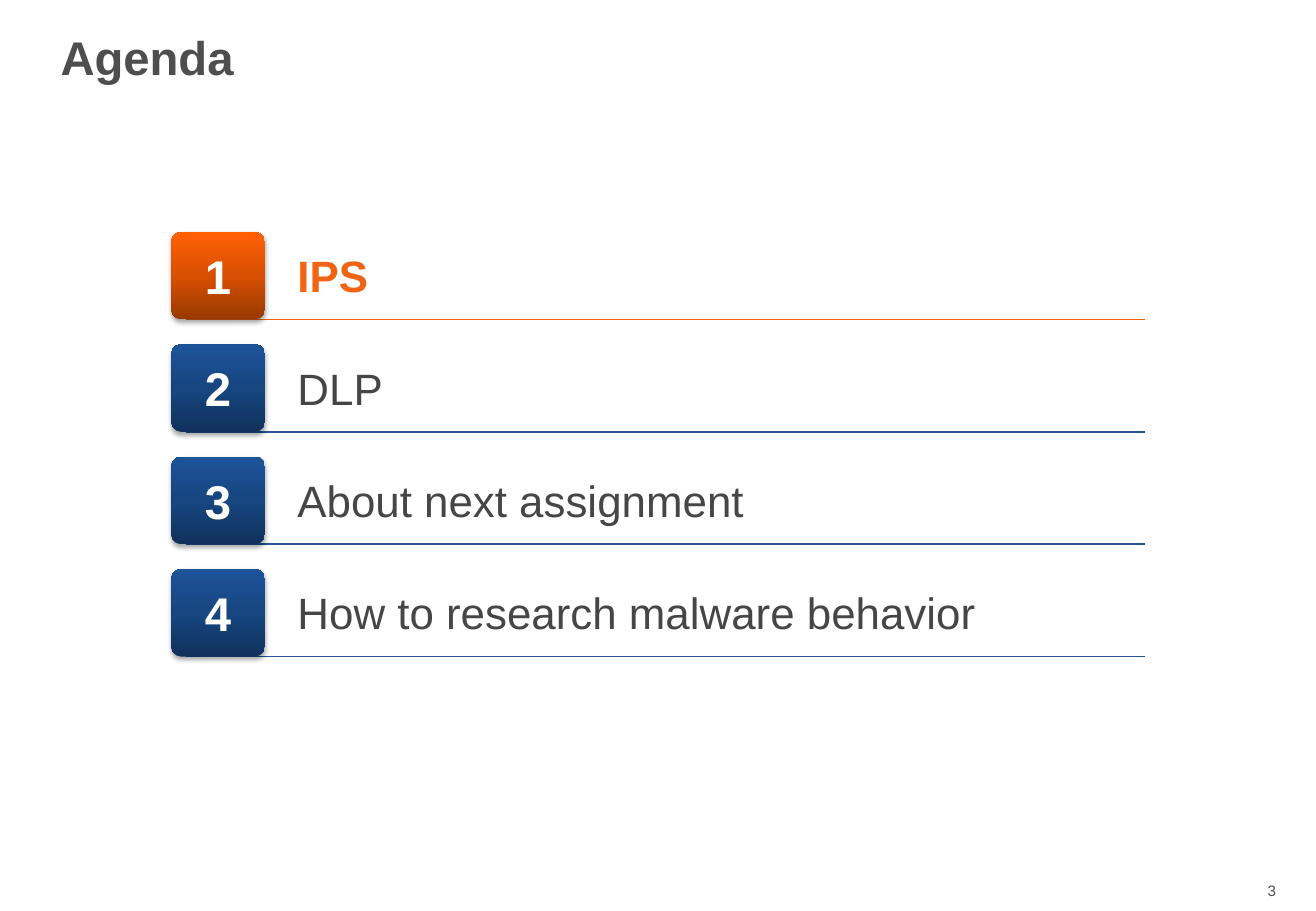
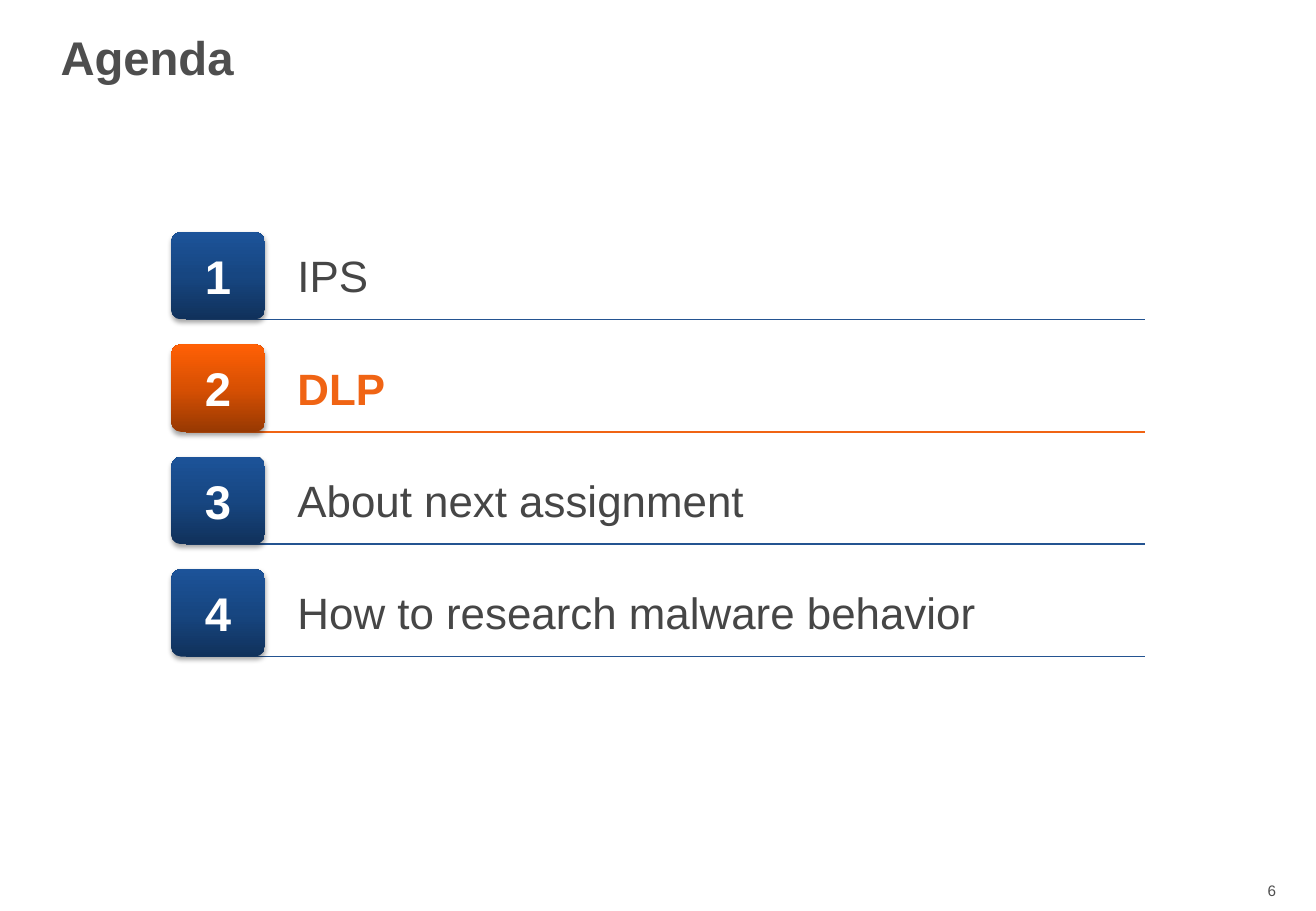
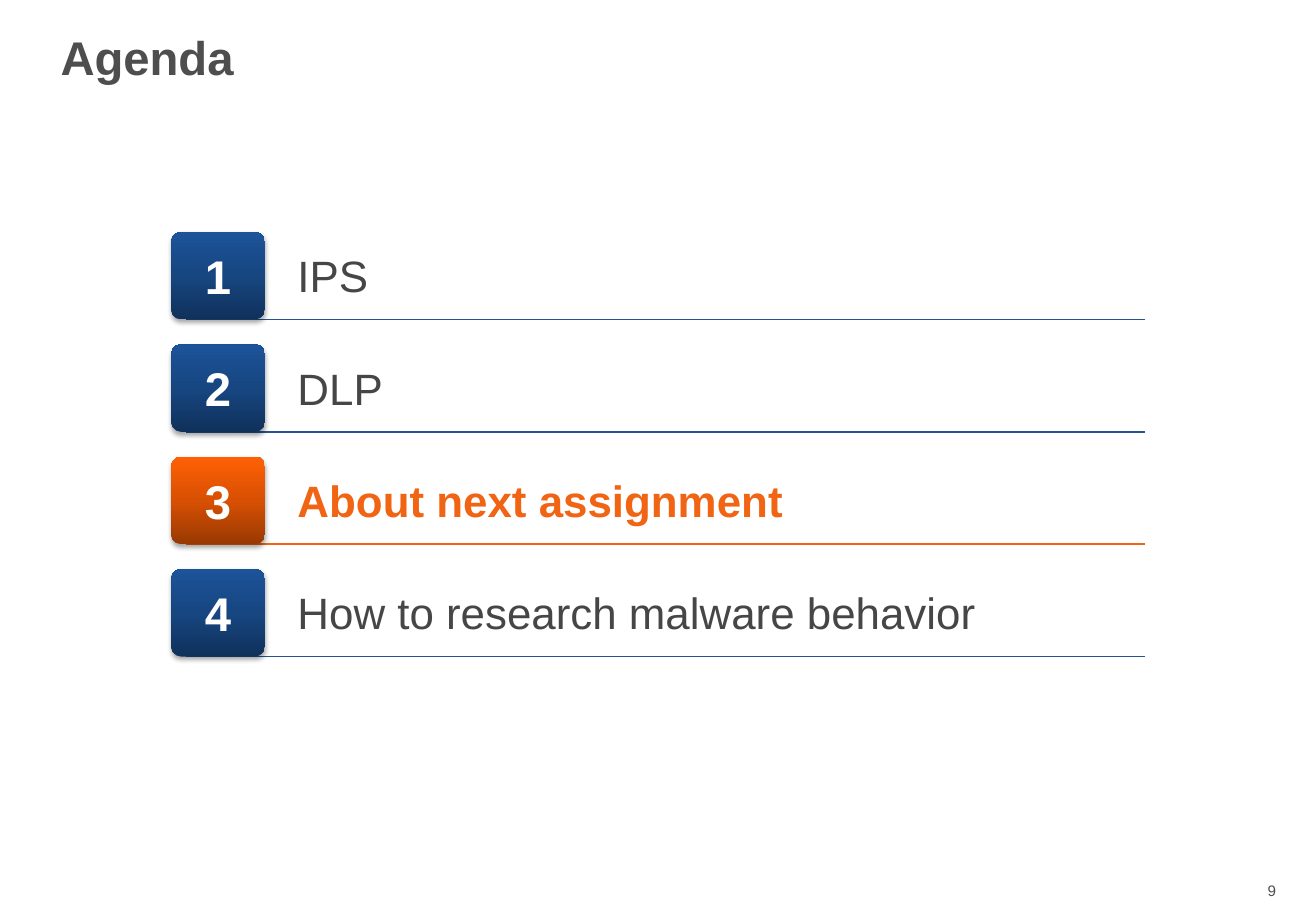
from copy import deepcopy
from pptx import Presentation
from pptx.dml.color import RGBColor
from pptx.enum.shapes import MSO_CONNECTOR, MSO_SHAPE
from pptx.enum.text import MSO_ANCHOR, PP_ALIGN
from pptx.oxml import parse_xml
from pptx.oxml.ns import nsdecls, qn
from pptx.util import Inches, Pt

# Content: the agenda, and (page number, active topic) for each slide
TITLE = "Agenda"
TOPICS = ["IPS", "DLP", "About next assignment",
          "How to research malware behavior"]
PAGES = [(3, 1), (6, 2), (9, 3)]

# Colours
WHITE = RGBColor(0xFF, 0xFF, 0xFF)
GREY = RGBColor(0x4E, 0x4E, 0x4E)
DARK = RGBColor(0x46, 0x46, 0x46)
BLUE = RGBColor(0x24, 0x54, 0x91)
ORANGE = RGBColor(0xF0, 0x64, 0x14)
BLUES = [RGBColor(0x10, 0x31, 0x5B), RGBColor(0x17, 0x46, 0x81),
         RGBColor(0x1C, 0x53, 0x99)]
FLAMES = [RGBColor(0x98, 0x39, 0x02), RGBColor(0xD8, 0x50, 0x03),
          RGBColor(0xFF, 0x60, 0x05)]

# Row states: text colour, weight, rule colour, badge gradient
PLAIN = {"ink": DARK, "bold": False, "rule": BLUE, "grad": BLUES}
ACTIVE = {"ink": ORANGE, "bold": True, "rule": ORANGE, "grad": FLAMES}

# Text formats
HEAD = {"size": Pt(28), "bold": True}
BODY = {"size": Pt(26)}
NOTE = {"size": Pt(9), "bold": False}

# Grid in inches
WIDE, HIGH = 10.83, 7.5
TOP, PITCH = 1.91, 0.925
BADGE = (1.41, 0.77, 0.72)
RULE = (1.53, 9.42)
LABEL = (2.35, 7.14, 0.54)

SHADOW = (f'<a:outerShdw {nsdecls("a")} blurRad="{Pt(3.1)}" dist="{Pt(1.8)}" '
          'dir="5400000" algn="ctr" rotWithShape="0"><a:srgbClr val="000000">'
          '<a:alpha val="35000"/></a:srgbClr></a:outerShdw>')


def write(shape, text, ink, form, para=None, **frame):
    box = shape.text_frame
    for key, val in {"word_wrap": True, **frame}.items():
        setattr(box, key, val)
    line = box.paragraphs[0]
    for key, val in (para or {}).items():
        setattr(line, key, val)
    run = line.add_run()
    run.text = text
    for key, val in {"name": "Arial", **form}.items():
        setattr(run.font, key, val)
    run.font.color.rgb = ink


def add_text(shapes, area, *args, **frame):
    write(shapes.add_textbox(*map(Inches, area)), *args, **frame)


def add_badge(shapes, top, num, grad):
    left, wide, high = BADGE
    badge = shapes.add_shape(MSO_SHAPE.ROUNDED_RECTANGLE,
                             *map(Inches, (left, top, wide, high)))
    badge.adjustments[0] = 0.11
    badge.line.fill.background()
    # Three gradient stops, dark at the foot
    badge.fill.gradient()
    badge.fill.gradient_angle = 90
    props = badge._element.spPr
    stops = props.find(".//" + qn("a:gsLst"))
    stops.append(deepcopy(stops[0]))
    for i, stop in enumerate(badge.fill.gradient_stops):
        stop.position = i / 2
        stop.color.rgb = grad[i]
    # Soft shadow below
    badge.shadow.inherit = False
    props.find(qn("a:effectLst")).append(parse_xml(SHADOW))
    side, edge = Inches(0.2), Inches(0.1)
    write(badge, str(num), WHITE, HEAD, {"alignment": PP_ALIGN.CENTER},
          vertical_anchor=MSO_ANCHOR.MIDDLE, margin_left=side,
          margin_right=side, margin_top=edge, margin_bottom=edge)


def add_rule(shapes, y, ink):
    start, end = RULE
    rule = shapes.add_connector(MSO_CONNECTOR.STRAIGHT,
                                *map(Inches, (start, y, end, y)))
    rule.line.color.rgb = ink
    rule.line.width = Pt(1)
    rule._element.spPr.append(parse_xml(f'<a:effectLst {nsdecls("a")}/>'))


def add_row(slide, num, topic, look):
    shapes = slide.shapes.add_group_shape().shapes
    top = TOP + (num - 1) * PITCH
    left, wide, high = LABEL
    inset = (BADGE[2] - high) / 2
    add_text(shapes, (left, top + inset, wide, high), topic, look["ink"],
             {**BODY, "bold": look["bold"]}, {"space_before": Pt(2.5)})
    add_rule(shapes, top + BADGE[2], look["rule"])
    add_badge(shapes, top, num, look["grad"])


def add_page(deck, page, active):
    slide = deck.slides.add_slide(deck.slide_layouts[6])
    add_text(slide.shapes, (9.88, 7.21, 0.72, 0.25), str(page), GREY, NOTE,
             {"alignment": PP_ALIGN.RIGHT})
    add_text(slide.shapes, (0.4, 0, 8.12, 1), TITLE, GREY, HEAD,
             {"line_spacing": 0.85}, vertical_anchor=MSO_ANCHOR.MIDDLE)
    for num, topic in enumerate(TOPICS, 1):
        add_row(slide, num, topic, ACTIVE if num == active else PLAIN)


def main():
    deck = Presentation()
    deck.slide_width, deck.slide_height = Inches(WIDE), Inches(HIGH)
    for page, active in PAGES:
        add_page(deck, page, active)
    deck.save("out.pptx")


if __name__ == "__main__":
    main()
